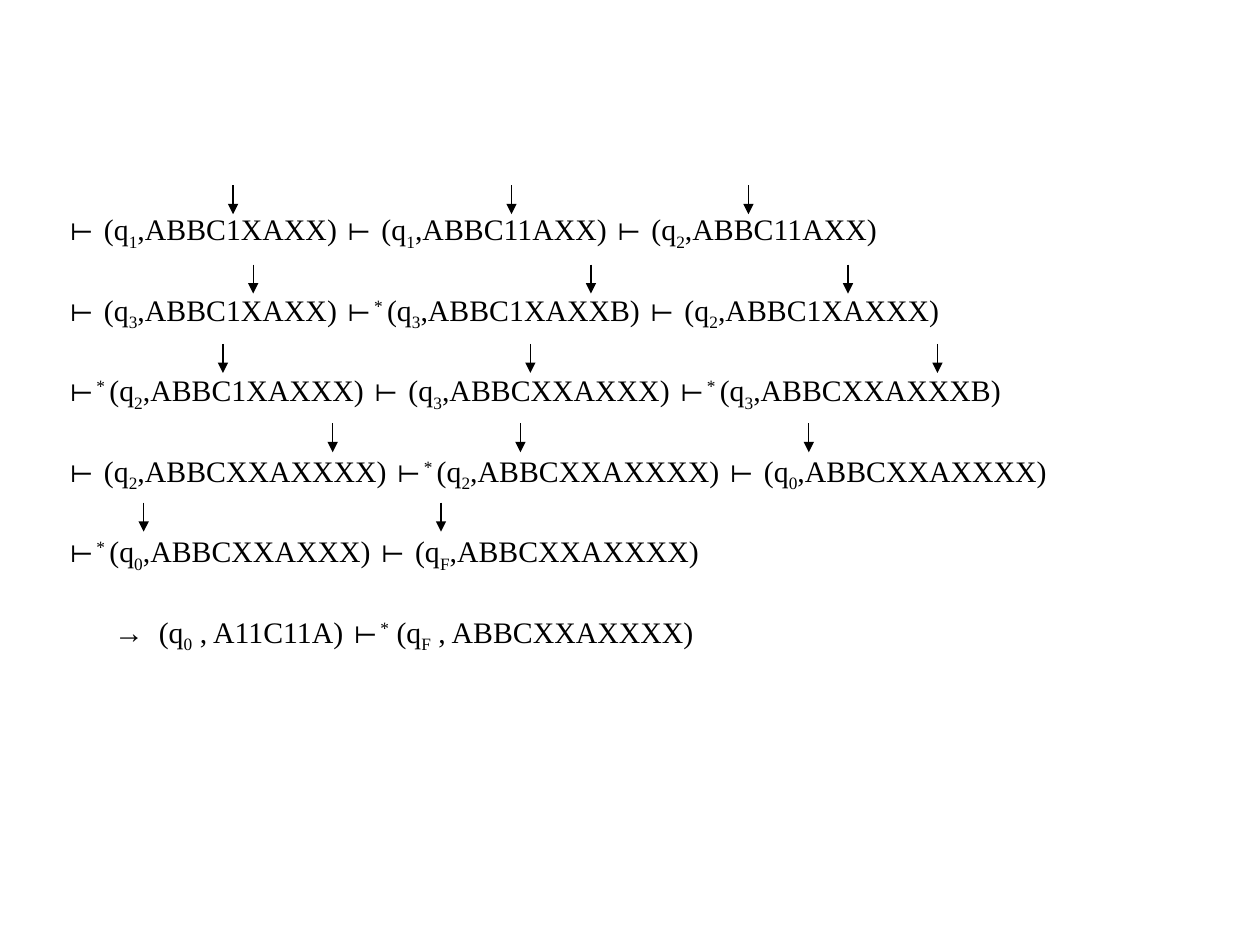
"""Build a slide tracing the configurations of a Turing machine."""
from dataclasses import dataclass

from lxml.etree import SubElement
from pptx import Presentation
from pptx.dml.color import RGBColor
from pptx.enum.shapes import MSO_CONNECTOR as Connector
from pptx.enum.text import MSO_ANCHOR as Anchor, MSO_AUTO_SIZE as AutoSize, PP_ALIGN as Align
from pptx.oxml.ns import qn
from pptx.util import Pt


@dataclass(frozen=True)
class Theme:
    ink: RGBColor = RGBColor(0, 0, 0)
    paper: RGBColor = RGBColor(255, 255, 255)
    font: str = "Times New Roman"
    size: float = 17
    arrow_width: float = 0.75


theme = Theme()
BASELINES = {"_": "-25000", "^": "30000"}


def write_text(paragraph, text, size=theme.size, color=theme.ink, font=theme.font):
    """Write runs parted by |, where _ lowers and ^ raises a run."""
    for part in text.split("|"):
        run = paragraph.add_run()
        baseline = BASELINES.get(part[0])
        run.text = part[1:] if baseline else part
        run.font.size = Pt(size)
        run.font.name = font
        run.font.color.rgb = color
        if baseline:
            run.font._element.set("baseline", baseline)


def add_head_arrow(slide, x, top, length):
    """Draw a downward arrow over the machine's head position."""
    arrow = slide.shapes.add_connector(Connector.STRAIGHT, Pt(x), Pt(top), Pt(x), Pt(top + length))
    arrow.line.color.rgb = theme.ink
    arrow.line.width = Pt(theme.arrow_width)
    SubElement(arrow.line._get_or_add_ln(), qn("a:tailEnd"), type="triangle")
    SubElement(arrow._element.spPr, qn("a:effectLst"))


presentation = Presentation()
presentation.slide_width = Pt(720)
presentation.slide_height = Pt(540)
slide = presentation.slides.add_slide(presentation.slide_layouts[1])
slide.background.fill.solid()
slide.background.fill.fore_color.rgb = theme.paper
title = slide.shapes.title
title._element.getparent().remove(title._element)

STEPS = [
    ("⊢ (q|_1|,ABBC1XAXX) ⊢ (q|_1|,ABBC11AXX) ⊢ (q|_2|,ABBC11AXX)", (133.2, 292.3, 427.7)),
    ("⊢ (q|_3|,ABBC1XAXX) ⊢|^* |(q|_3|,ABBC1XAXXB) ⊢ (q|_2|,ABBC1XAXXX)", (144.7, 337.7, 484.6)),
    ("⊢|^* |(q|_2|,ABBC1XAXXX) ⊢ (q|_3|,ABBCXXAXXX) ⊢|^* |(q|_3|,ABBCXXAXXXB)", (127.4, 303.1, 535.7)),
    ("⊢ (q|_2|,ABBCXXAXXXX) ⊢|^* |(q|_2|,ABBCXXAXXXX) ⊢ (q|_0|,ABBCXXAXXXX)", (190.1, 297.4, 462.2)),
    ("⊢|^* |(q|_0|,ABBCXXAXXX) ⊢ (q|_F|,ABBCXXAXXXX)", (82.1, 252)),
    ("\t→\u2002(q|_0| , A11C11A) ⊢|^*| (q|_F| , ABBCXXAXXXX)", ()),
]
ROW_HEIGHT = 23
ARROW_TOP, ARROW_PITCH, ARROW_LENGTH = 105.8, 45.36, 16.6

body = slide.placeholders[1]
body.left, body.top, body.width, body.height = Pt(31), Pt(71.3), Pt(648), Pt(356.4)
frame = body.text_frame
frame.word_wrap = True
frame.auto_size = AutoSize.NONE
frame.vertical_anchor = Anchor.TOP
frame.margin_top = Pt(49.5)

for row, (step, arrow_positions) in enumerate(STEPS):
    paragraph = frame.paragraphs[0] if row == 0 else frame.add_paragraph()
    paragraph.alignment = Align.LEFT
    paragraph.line_spacing = Pt(ROW_HEIGHT)
    paragraph.space_before = Pt(0)
    paragraph.space_after = Pt(ROW_HEIGHT)
    properties = paragraph._element.get_or_add_pPr()
    properties.set("marL", str(Pt(27)))
    properties.set("indent", str(Pt(-27)))
    SubElement(properties, qn("a:buNone"))
    write_text(paragraph, step)
    for x in arrow_positions:
        add_head_arrow(slide, x, ARROW_TOP + row * ARROW_PITCH, ARROW_LENGTH)

presentation.save("out.pptx")
